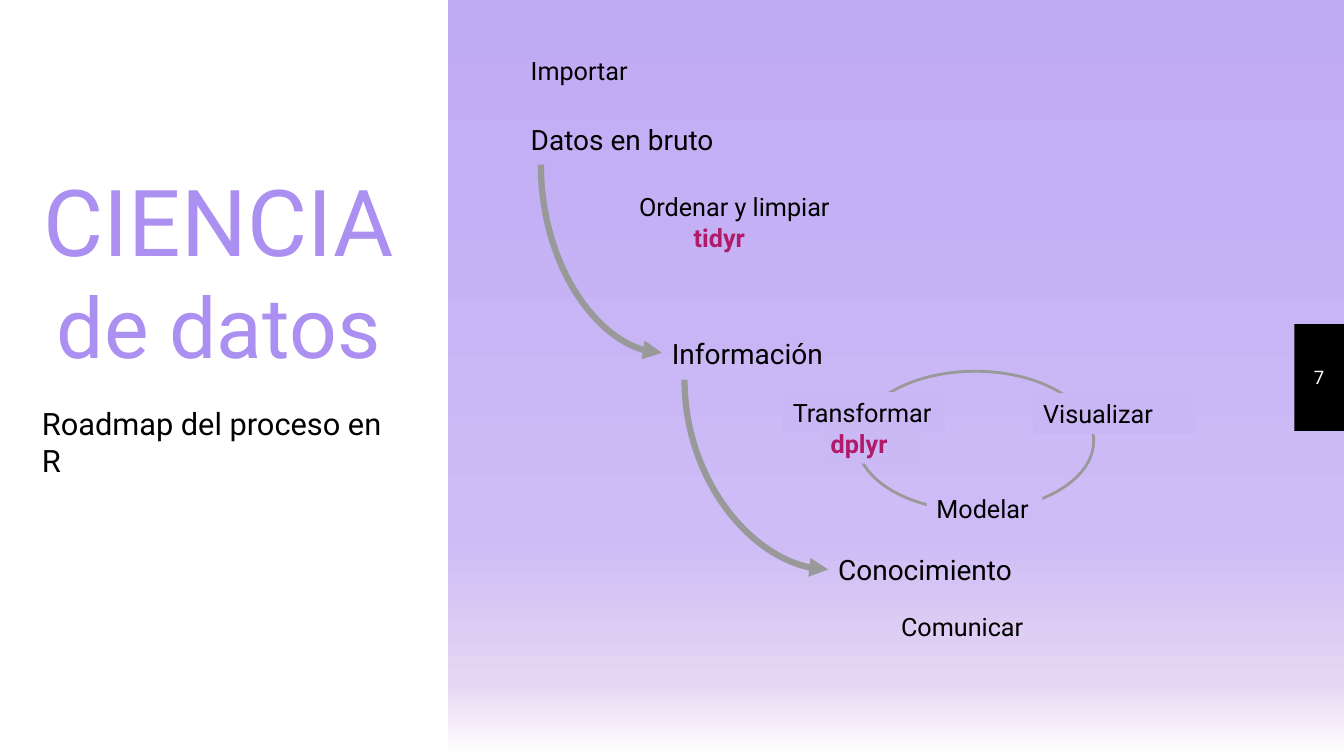
from dataclasses import dataclass

from lxml import etree
from pptx import Presentation
from pptx.dml.color import RGBColor
from pptx.enum.shapes import MSO_CONNECTOR, MSO_SHAPE
from pptx.enum.text import MSO_ANCHOR, MSO_AUTO_SIZE, PP_ALIGN
from pptx.oxml.ns import qn
from pptx.util import Emu, Pt

RECT, OVAL = MSO_SHAPE.RECTANGLE, MSO_SHAPE.OVAL
CURVE = MSO_CONNECTOR.CURVE
LEFT, MID, RIGHT = PP_ALIGN.LEFT, PP_ALIGN.CENTER, PP_ALIGN.RIGHT
TOP, CORE = MSO_ANCHOR.TOP, MSO_ANCHOR.MIDDLE
GROW, FIXED = MSO_AUTO_SIZE.SHAPE_TO_FIT_TEXT, MSO_AUTO_SIZE.NONE

# The grid has 160 columns and 90 rows of square cells.
CELL, COLS, ROWS = 76200, 160, 90


@dataclass(frozen=True)
class Theme:
    font: str = "Roboto"
    ink: str = "000000"
    white: str = "FFFFFF"
    title: str = "AB8FF1"
    tool: str = "B11969"
    line: str = "999999"
    fade: tuple = ((0, "BFAAF4"), (71, "CDBCF6"), (90, "E6D5F3"), (100, "FFFFFF"))
    mask: tuple = ("C9B7F5", "C9B6F5", "CCBBF6", "CBB9F6")
    big: float = 66
    large: float = 60
    lead: float = 22
    state: float = 20
    step: float = 18
    page: float = 13.3
    thin: float = 2
    thick: float = 4.5
    hair: float = 0.75


def cells(*nums):
    return [Emu(round(num * CELL)) for num in nums]


def rgb(code):
    return RGBColor.from_string(code)


class Board:
    def __init__(self, deck, theme):
        self.theme = theme
        self.slide = deck.slides.add_slide(deck.slide_layouts[6])
        self.shapes = self.slide.shapes

    def fade(self):
        """Fill the background from top to bottom with the theme's stops."""
        fill = self.slide.background.fill
        fill.gradient()
        fill.gradient_angle = 270
        stops = self.slide.element.find(".//" + qn("a:gsLst"))
        for old in list(stops):
            stops.remove(old)
        for share, code in self.theme.fade:
            stop = etree.SubElement(stops, qn("a:gs"), pos=str(share * 1000))
            etree.SubElement(stop, qn("a:srgbClr"), val=code)

    def shape(self, kind, area, fill=None, line=None, width=0):
        item = self.shapes.add_shape(kind, *cells(*area))
        item.shadow.inherit = False
        if fill:
            item.fill.solid()
            item.fill.fore_color.rgb = rgb(fill)
        else:
            item.fill.background()
        if line:
            item.line.color.rgb = rgb(line)
            item.line.width = Pt(width)
        else:
            item.line.fill.background()
        return item

    def put(self, item, runs, align=LEFT, anchor=TOP, size=GROW):
        """Add runs of (text, points, colour, bold) to a shape."""
        frame = item.text_frame
        frame.word_wrap = True
        frame.auto_size = size
        frame.vertical_anchor = anchor
        para = frame.paragraphs[0]
        para.alignment = align
        for text, points, code, bold in runs:
            run = para.add_run()
            run.text = text
            run.font.name = self.theme.font
            run.font.size = Pt(points)
            run.font.bold = bold
            run.font.color.rgb = rgb(code)

    def text(self, area, runs, **style):
        self.put(self.shapes.add_textbox(*cells(*area)), runs, **style)

    def label(self, area, text, points, code=None, bold=False, align=LEFT):
        self.text(area, [(text, points, code or self.theme.ink, bold)], align=align)

    def mask(self, area, text, fill, code, bold=False, line=None):
        """Add a label that hides the ring behind it."""
        item = self.shape(RECT, area, fill, line, self.theme.hair)
        self.put(item, [(text, self.theme.step, code, bold)])

    def curve(self, start, end):
        """Draw an arrow that leaves downwards and arrives rightwards."""
        (x, y), (right, low) = start, end
        wide, tall = low - y, right - x
        left, top = (x + right - wide) / 2, (y + low - tall) / 2
        link = self.shapes.add_connector(
            CURVE, *cells(left, top, left + wide, top + tall))
        link.line.color.rgb = rgb(self.theme.line)
        link.line.width = Pt(self.theme.thick)
        props = link.element.spPr
        form = props.find(qn("a:xfrm"))
        form.set("rot", "16200000")
        form.set("flipH", "1")
        props.find(qn("a:prstGeom")).set("prst", "curvedConnector2")
        etree.SubElement(props.find(qn("a:ln")), qn("a:tailEnd"), type="triangle")
        etree.SubElement(props, qn("a:effectLst"))


def main():
    deck = Presentation()
    deck.slide_width, deck.slide_height = cells(COLS, ROWS)
    theme = Theme()
    board = Board(deck, theme)
    board.fade()

    badge = board.shape(RECT, (154.1, 38.6, 5.9, 12.7), theme.ink)
    board.put(badge, [("7", theme.page, theme.white, False)],
              align=MID, anchor=CORE, size=FIXED)
    board.shape(RECT, (0, 0, COLS / 3, ROWS), theme.white)
    board.shape(OVAL, (102, 44.2, 28.2, 16.6), line=theme.line, width=theme.thin)

    board.text((3.8, 10.8, 44.5, 42.6),
               [("CIENCIA ", theme.big, theme.title, False),
                ("de datos", theme.large, theme.title, False)],
               align=MID, anchor=CORE, size=FIXED)
    board.label((3.8, 47.6, 44.5, 5.6), "Roadmap del proceso en R", theme.lead)

    for x, y, text in ((62, 14, "Datos en bruto"),
                       (78.8, 39.5, "Información"),
                       (98.6, 65.2, "Conocimiento")):
        board.label((x, y, 33.6, 5.3), text, theme.state)

    board.curve((64.4, 19.6), (78.8, 42))
    board.curve((81.5, 45.2), (98.6, 67.8))

    tall = 4.8
    for x, y, wide, text, align in ((62, 6, 20.8, "Importar", LEFT),
                                    (74.9, 22.2, 25.2, "Ordenar y limpiar", LEFT),
                                    (103.7, 72.2, 19.3, "Comunicar", RIGHT)):
        board.label((x, y, wide, tall), text, theme.step, align=align)
    board.label((81.4, 25.9, 11.9, tall), "tidyr", theme.step, theme.tool, True)

    first, second, third, fourth = theme.mask
    board.mask((93.2, 46.7, 19.3, tall), "Transformar", first, theme.ink)
    board.mask((123, 46.8, 19.3, tall), "Visualizar", second, theme.ink, line=first)
    board.mask((110.3, 58.1, 13.8, tall), "Modelar", third, theme.ink)
    board.mask((97.7, 50.4, 11.9, tall), "dplyr", fourth, theme.tool, True)

    deck.save("out.pptx")


if __name__ == "__main__":
    main()
